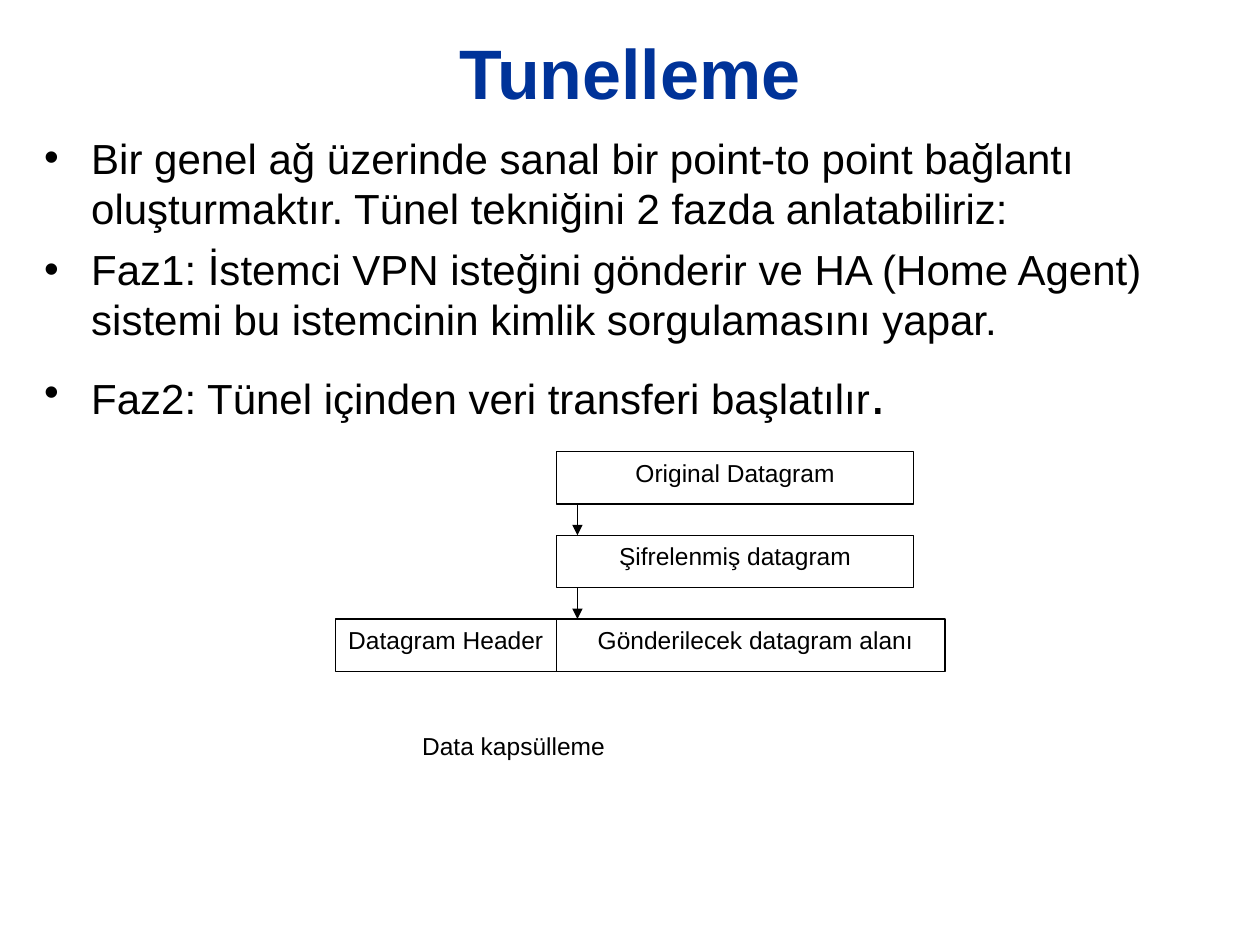
from pptx import Presentation
from pptx.dml.color import RGBColor as RGB
from pptx.enum.shapes import MSO_CONNECTOR as CONN, MSO_SHAPE as SHAPE
from pptx.enum.text import MSO_ANCHOR as ANCHOR, MSO_AUTO_SIZE as AUTO, PP_ALIGN as ALIGN
from pptx.oxml.ns import qn
from pptx.util import Cm, Pt
from lxml.etree import SubElement

TITLE = "Tunelleme"
BULLETS = [
    (0, [("Bir genel ağ üzerinde sanal bir point-to point bağlantı oluşturmaktır. "
          "Tünel tekniğini 2 fazda anlatabiliriz:", "body")]),
    (6, [("Faz1: İstemci VPN isteğini gönderir ve HA (Home Agent) "
          "sistemi bu istemcinin kimlik sorgulamasını yapar.", "body")]),
    (8, [("Faz2: Tünel içinden veri transferi başlatılır", "body"), (".", "stop")]),
]
STAGES = ["Original Datagram", "Şifrelenmiş datagram"]
PACKET = "Datagram Header\tGönderilecek datagram alanı"
CAPTION = "Data kapsülleme"

THEME = {
    "font": "Arial",
    "title": RGB(0x00, 0x33, 0x99),
    "ink": RGB(0, 0, 0),
    "paper": RGB(255, 255, 255),
    "line": 0.75,
    "size": {"title": 40, "body": 24, "stop": 32, "label": 14},
}

BOX_X, BOX_W, BOX_H = 11.22, 7.2, 1.06
PACKET_X, PACKET_W, PACKET_TAB = 6.77, 12.28, 5.03
TOP, STEP, ARROW_X = 9.1, 1.69, 11.64
HANG = 0.95


def style(r, size, color="ink", bold=False):
    r.font.name = THEME["font"]
    r.font.size = Pt(THEME["size"][size])
    r.font.color.rgb = THEME[color]
    r.font.bold = bold


def add_bullet(p):
    pPr = p._p.get_or_add_pPr()
    pPr.set("marL", str(Cm(HANG)))
    pPr.set("indent", str(-Cm(HANG)))
    clr = SubElement(pPr, qn("a:buClr"))
    SubElement(clr, qn("a:srgbClr"), val=str(THEME["ink"]))
    SubElement(pPr, qn("a:buFont"), typeface=THEME["font"])
    SubElement(pPr, qn("a:buChar"), char="•")


def add_tab(p, pos):
    tabs = SubElement(p._p.get_or_add_pPr(), qn("a:tabLst"))
    SubElement(tabs, qn("a:tab"), pos=str(Cm(pos)), algn="l")


def add_box(slide, text, x, y, w, align, tab=None):
    sp = slide.shapes.add_shape(SHAPE.RECTANGLE, Cm(x), Cm(y), Cm(w), Cm(BOX_H))
    sp.shadow.inherit = False
    sp.fill.solid()
    sp.fill.fore_color.rgb = THEME["paper"]
    sp.line.color.rgb = THEME["ink"]
    sp.line.width = Pt(THEME["line"])
    tf = sp.text_frame
    tf.vertical_anchor = ANCHOR.TOP
    tf.text = text
    p = tf.paragraphs[0]
    p.alignment = align
    if tab:
        add_tab(p, tab)
    for r in p.runs:
        style(r, "label")


def add_line(slide, x, y1, y2, arrow=False):
    c = slide.shapes.add_connector(CONN.STRAIGHT, Cm(x), Cm(y1), Cm(x), Cm(y2))
    c.line.color.rgb = THEME["ink"]
    c.line.width = Pt(THEME["line"])
    if arrow:
        SubElement(c.line._get_or_add_ln(), qn("a:tailEnd"), type="triangle")
    SubElement(c._element.spPr, qn("a:effectLst"))


def add_title(slide):
    sp = slide.shapes.title
    sp.left, sp.top, sp.width, sp.height = Cm(1.27), Cm(0.76), Cm(22.86), Cm(1.35)
    tf = sp.text_frame
    tf.text = TITLE
    tf.auto_size = AUTO.NONE
    tf.vertical_anchor = ANCHOR.MIDDLE
    p = tf.paragraphs[0]
    p.alignment = ALIGN.CENTER
    style(p.runs[0], "title", "title", True)


def add_body(slide):
    tf = slide.shapes.add_textbox(Cm(0.64), Cm(2.54), Cm(24.13), Cm(14.4)).text_frame
    tf.word_wrap = True
    for i, (before, runs) in enumerate(BULLETS):
        p = tf.add_paragraph() if i else tf.paragraphs[0]
        p.space_before = Pt(before)
        add_bullet(p)
        for text, size in runs:
            r = p.add_run()
            r.text = text
            style(r, size)


def add_diagram(slide):
    for i, text in enumerate(STAGES):
        y = TOP + i * STEP
        add_box(slide, text, BOX_X, y, BOX_W, ALIGN.CENTER)
        add_line(slide, ARROW_X, y + BOX_H, y + STEP, arrow=True)
    y = TOP + len(STAGES) * STEP
    add_box(slide, PACKET, PACKET_X, y, PACKET_W, ALIGN.LEFT, PACKET_TAB)
    add_line(slide, BOX_X, y, y + BOX_H)


def add_caption(slide):
    tf = slide.shapes.add_textbox(Cm(8.26), Cm(14.6), Cm(4.2), Cm(0.86)).text_frame
    tf.word_wrap = False
    tf.auto_size = AUTO.SHAPE_TO_FIT_TEXT
    tf.vertical_anchor = ANCHOR.MIDDLE
    tf.text = CAPTION
    style(tf.paragraphs[0].runs[0], "label")


def main():
    prs = Presentation()
    prs.slide_width, prs.slide_height = Cm(25.4), Cm(19.05)
    slide = prs.slides.add_slide(prs.slide_layouts[5])
    add_title(slide)
    add_body(slide)
    add_diagram(slide)
    add_caption(slide)
    prs.save("out.pptx")


if __name__ == "__main__":
    main()
